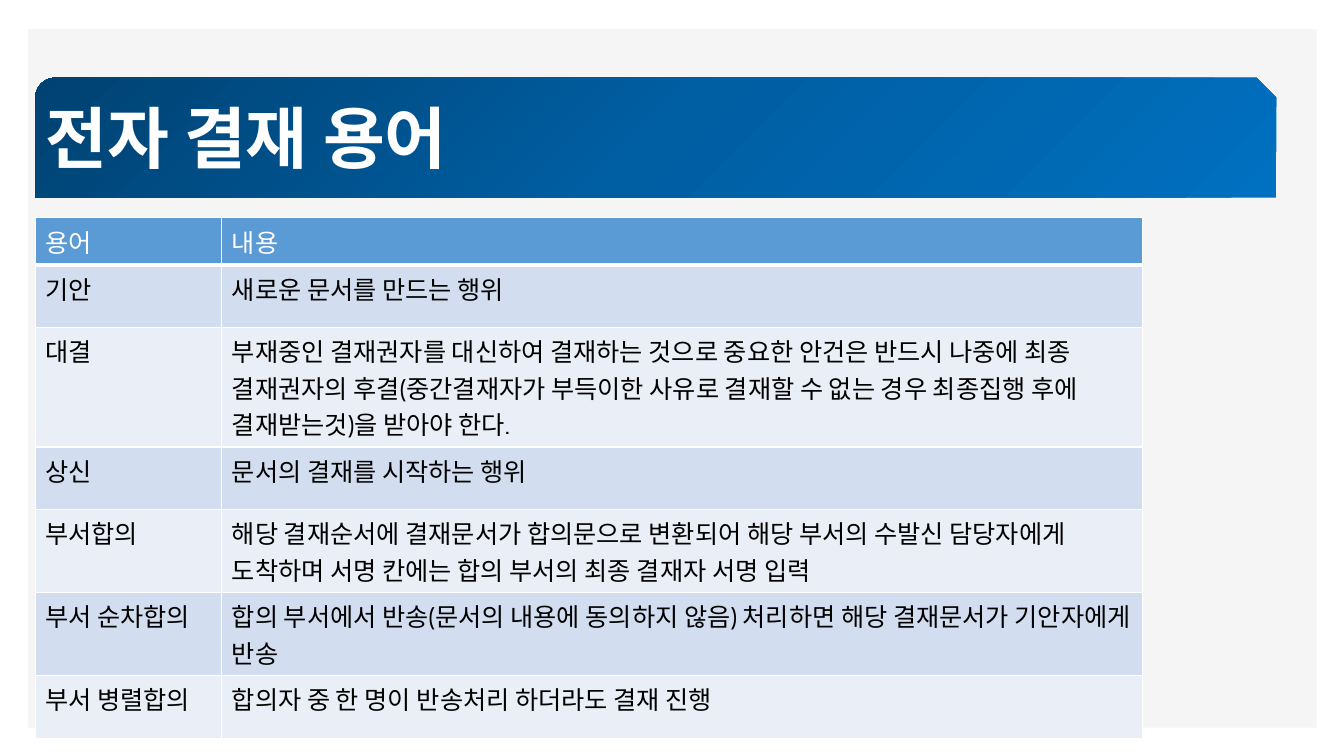
import pptx
import pptx.dml.color
import pptx.enum.shapes
import pptx.enum.text
import pptx.oxml
import pptx.oxml.ns
import pptx.util

TITLE = "전자 결재 용어"
TERMS = [
    ("용어", "내용"),
    ("기안", "새로운 문서를 만드는 행위"),
    ("대결", "부재중인 결재권자를 대신하여 결재하는 것으로 중요한 안건은 반드시 나중에 최종 "
             "결재권자의 후결(중간결재자가 부득이한 사유로 결재할 수 없는 경우 최종집행 후에 "
             "결재받는것)을 받아야 한다."),
    ("상신", "문서의 결재를 시작하는 행위"),
    ("부서합의", "해당 결재순서에 결재문서가 합의문으로 변환되어 해당 부서의 수발신 담당자에게 "
                 "도착하며 서명 칸에는 합의 부서의 최종 결재자 서명 입력"),
    ("부서 순차합의", "합의 부서에서 반송(문서의 내용에 동의하지 않음) 처리하면 "
                      "해당 결재문서가 기안자에게 반송"),
    ("부서 병렬합의", "합의자 중 한 명이 반송처리 하더라도 결재 진행"),
]

WIDTH, HEIGHT = 13.33, 7.5
LEFT = 0.35
COLUMNS = (1.85, 9.13)
HEADER_ROW, TERM_ROW = 0.47, 0.62
HEADER_FILL, BANDS = "5B9BD5", ("D2DEEF", "EAEFF7")
BANNER_STOPS = ((0, "004272"), (50, "005EA2"), (100, "0070C0"))
KOREAN = "Noto Sans CJK KR"


def inches(*lengths):
    return [pptx.util.Inches(length) for length in lengths]


def rgb(value):
    return pptx.dml.color.RGBColor.from_string(value)


def xml(body):
    """Parse an element whose prefix is the drawing namespace."""
    tag, rest = body.split(" ", 1)
    return pptx.oxml.parse_xml(f"{tag} {pptx.oxml.ns.nsdecls('a')} {rest}")


def write(frame, text, size=18, font="Cabin", color="000000", bold=False):
    run = frame.paragraphs[0].add_run()
    run.text = text
    run.font.size = pptx.util.Pt(size)
    run.font.name = font
    run.font.bold = bold
    run.font.color.rgb = rgb(color)
    run.font._element.find(pptx.oxml.ns.qn("a:latin")).addnext(
        xml(f'<a:ea typeface="{KOREAN}"/>'))


def add_panel(slide, preset, box, fill):
    panel = slide.shapes.add_shape(preset, *inches(*box))
    panel.shadow.inherit = False
    panel.line.fill.background()
    panel.fill.solid()
    panel.fill.fore_color.rgb = rgb(fill)
    return panel


def fill_radially(panel, stops):
    """Spread the colour stops outward from the top left corner."""
    marks = "".join(f'<a:gs pos="{share * 1000}"><a:srgbClr val="{color}"/></a:gs>'
                    for share, color in stops)
    solid = panel._element.spPr.find(pptx.oxml.ns.qn("a:solidFill"))
    solid.getparent().replace(solid, xml(
        f'<a:gradFill rotWithShape="1"><a:gsLst>{marks}</a:gsLst><a:path path="circle">'
        '<a:fillToRect r="100000" b="100000"/></a:path></a:gradFill>'))


def set_borders(cell, bottom):
    properties = cell._tc.get_or_add_tcPr()
    widths = {"lnL": 1, "lnR": 1, "lnT": 1, "lnB": bottom}
    for position, (side, points) in enumerate(widths.items()):
        properties.insert(position, xml(
            f'<a:{side} w="{pptx.util.Pt(points)}"><a:solidFill>'
            f'<a:srgbClr val="FFFFFF"/></a:solidFill></a:{side}>'))


def add_terms(slide):
    heights = [HEADER_ROW] + [TERM_ROW] * (len(TERMS) - 1)
    terms = slide.shapes.add_table(len(TERMS), len(COLUMNS), *inches(
        LEFT, 2.16, sum(COLUMNS), sum(heights))).table
    for column, width in zip(terms.columns, inches(*COLUMNS)):
        column.width = width
    for row, height in zip(terms.rows, inches(*heights)):
        row.height = height
    for index, entry in enumerate(TERMS):
        header = index == 0
        for column, text in enumerate(entry):
            cell = terms.cell(index, column)
            cell.fill.solid()
            cell.fill.fore_color.rgb = rgb(HEADER_FILL if header else BANDS[(index - 1) % 2])
            set_borders(cell, bottom=3 if header else 1)
            write(cell.text_frame, text, color="FFFFFF" if header else "000000")


def add_title(slide):
    title = slide.shapes.title
    title.left, title.top, title.width, title.height = inches(LEFT, 0.88, 4.87, 0.96)
    frame = title.text_frame
    frame.word_wrap = True
    frame.auto_size = pptx.enum.text.MSO_AUTO_SIZE.NONE
    frame.vertical_anchor = pptx.enum.text.MSO_ANCHOR.MIDDLE
    frame.paragraphs[0].alignment = pptx.enum.text.PP_ALIGN.LEFT
    write(frame, TITLE, size=48, font=KOREAN, color="FFFFFF", bold=True)
    slide.shapes._spTree.append(title._element)  # in front of the banner


def main():
    deck = pptx.Presentation()
    deck.slide_width, deck.slide_height = inches(WIDTH, HEIGHT)
    slide = deck.slides.add_slide(deck.slide_layouts.get_by_name("Title Only"))
    presets = pptx.enum.shapes.MSO_SHAPE
    add_panel(slide, presets.RECTANGLE, (0.28, 0.29, 12.78, 6.93), "F5F5F5")
    banner = add_panel(slide, presets.SNIP_ROUND_RECTANGLE,
                       (LEFT, 0.77, 12.31, 1.19), BANNER_STOPS[0][1])
    fill_radially(banner, BANNER_STOPS)
    add_terms(slide)
    add_title(slide)
    deck.save("out.pptx")


if __name__ == "__main__":
    main()
